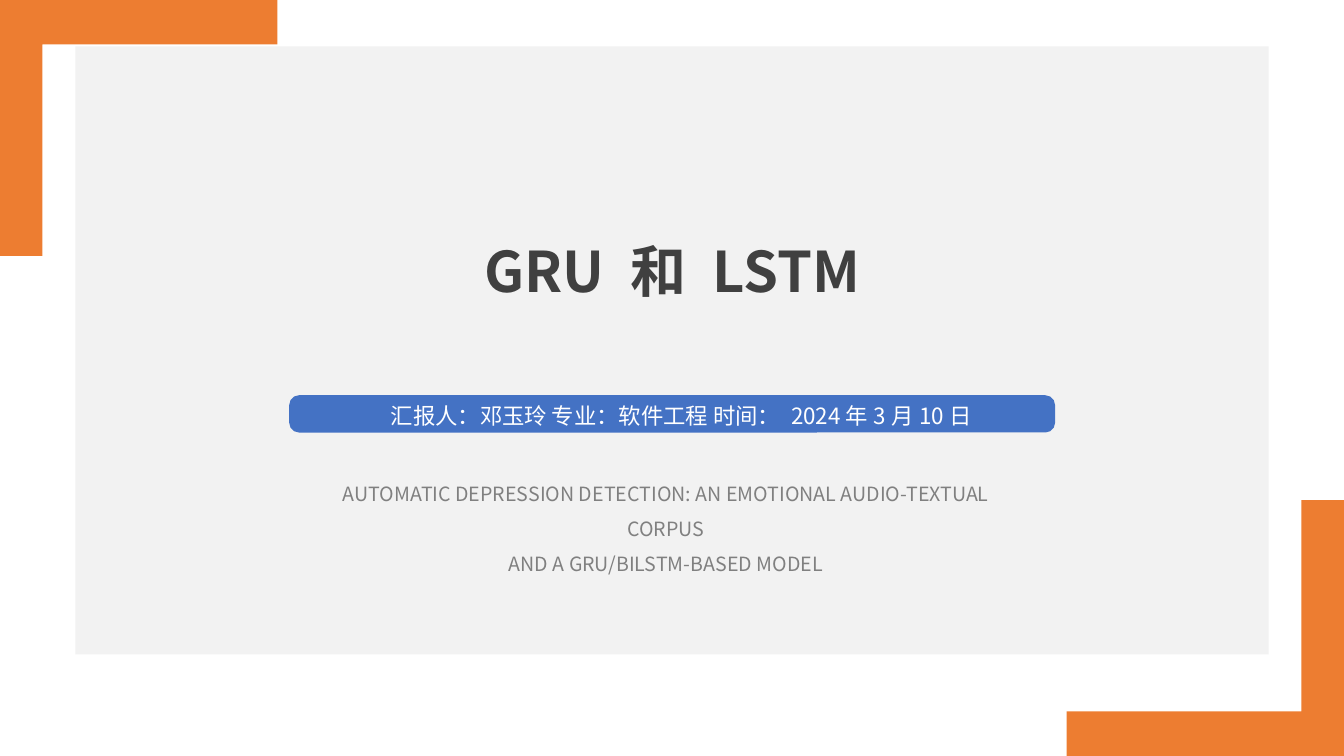
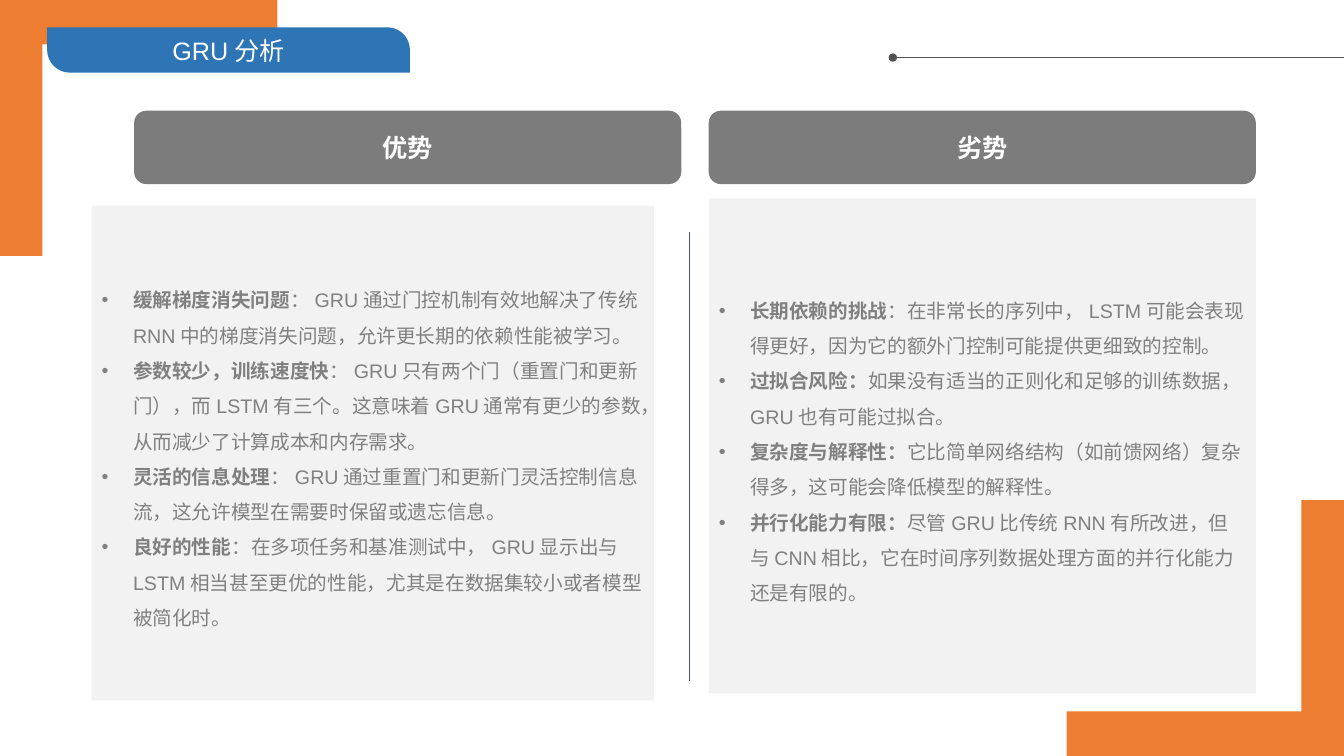
import pptx
import pptx.util
import pptx.dml.color
import pptx.enum.shapes
import pptx.enum.text
import pptx.oxml.ns
import lxml.etree

Cm = pptx.util.Cm
Pt = pptx.util.Pt
Kind = pptx.enum.shapes.MSO_SHAPE
Align = pptx.enum.text.PP_ALIGN
Anchor = pptx.enum.text.MSO_ANCHOR
qn = pptx.oxml.ns.qn

WIDE, HIGH = 33.87, 19.05
SANS, ARIAL = "Noto Sans CJK SC", "Arial"
ORANGE, BLUE, NAVY = "ED7D31", "4472C4", "2E75B6"
PALE, GRAY, DARK, WHITE = "F2F2F2", "808080", "404040", "FFFFFF"
STEEL, INK, SLATE = "7C7C7C", "525252", "44546A"

PROS = [
    ("缓解梯度消失问题", "：GRU通过门控机制有效地解决了传统RNN中的梯度消失问题，允许更长期的依赖性能被学习。"),
    ("参数较少，训练速度快", "：GRU只有两个门（重置门和更新门），而LSTM有三个。这意味着GRU通常有更少的参数，从而减少了计算成本和内存需求。"),
    ("灵活的信息处理", "：GRU通过重置门和更新门灵活控制信息流，这允许模型在需要时保留或遗忘信息。"),
    ("良好的性能", "：在多项任务和基准测试中，GRU显示出与LSTM相当甚至更优的性能，尤其是在数据集较小或者模型被简化时。"),
]
CONS = [
    ("长期依赖的挑战", "：在非常长的序列中，LSTM可能会表现得更好，因为它的额外门控制可能提供更细致的控制。"),
    ("过拟合风险：", "如果没有适当的正则化和足够的训练数据，GRU也有可能过拟合。"),
    ("复杂度与解释性：", "它比简单网络结构（如前馈网络）复杂得多，这可能会降低模型的解释性。"),
    ("并行化能力有限：", "尽管GRU比传统RNN有所改进，但与CNN相比，它在时间序列数据处理方面的并行化能力还是有限的。"),
]


def paint(part, code):
    part.solid()
    part.fore_color.rgb = pptx.dml.color.RGBColor.from_string(code)


def bullet(para):
    props = para._p.get_or_add_pPr()
    props.set("marL", str(Cm(0.79)))
    props.set("indent", str(-Cm(0.79)))
    font = lxml.etree.SubElement(props, qn("a:buFont"))
    font.set("typeface", ARIAL)
    lxml.etree.SubElement(props, qn("a:buChar")).set("char", "•")


def write(shape, paras, size=18, color=WHITE, face=SANS, bold=False,
          align=Align.CENTER, anchor=Anchor.MIDDLE, gap=1.0, inset=None, dots=False):
    frame = shape.text_frame
    frame.word_wrap = True
    frame.auto_size = pptx.enum.text.MSO_AUTO_SIZE.NONE
    frame.vertical_anchor = anchor
    if inset is not None:
        frame.margin_left = frame.margin_right = Cm(inset)
        frame.margin_top = frame.margin_bottom = Cm(inset)
    for at, parts in enumerate(paras):
        para = frame.add_paragraph() if at else frame.paragraphs[0]
        para.alignment = align
        para.line_spacing = gap
        para.space_before = para.space_after = Pt(0)
        if dots:
            bullet(para)
        for spot, words in enumerate(parts):
            run = para.add_run()
            run.text = words
            run.font.size = Pt(size)
            run.font.name = face
            run.font.bold = bold or (dots and spot == 0)
            paint(run.font.fill, color)
            east = lxml.etree.SubElement(run._r.get_or_add_rPr(), qn("a:ea"))
            east.set("typeface", SANS)


class Deck:
    def __init__(self):
        self.file = pptx.Presentation()
        self.file.slide_width = Cm(WIDE)
        self.file.slide_height = Cm(HIGH)
        self.slide = None

    def start(self, layout):
        self.slide = self.file.slides.add_slide(self.file.slide_layouts[layout])
        wide, high = 6.45, 6.99
        shift = (high - wide) / 2
        spots = [(shift, -shift, 90),
                 (WIDE - wide - shift, HIGH - high + shift, 270)]
        for left, top, turn in spots:
            bend = self.shape(Kind.CORNER, (left, top, wide, high), ORANGE, (0.166, 0.174))
            bend.rotation = turn

    def shape(self, kind, box, color, bends=()):
        shape = self.slide.shapes.add_shape(kind, *map(Cm, box))
        shape.shadow.inherit = False
        shape.line.fill.background()
        paint(shape.fill, color)
        for at, bend in enumerate(bends):
            shape.adjustments[at] = bend
        return shape

    def hold(self, index, box, paras, fill=None, **style):
        shape = self.slide.placeholders[index]
        shape.left, shape.top, shape.width, shape.height = map(Cm, box)
        shape.element.getparent().append(shape.element)
        if fill:
            paint(shape.fill, fill)
        write(shape, paras, **style)

    def label(self, box, words, **style):
        write(self.slide.shapes.add_textbox(*map(Cm, box)), [[words]], **style)

    def line(self, ends, color, head=None):
        line = self.slide.shapes.add_connector(
            pptx.enum.shapes.MSO_CONNECTOR.STRAIGHT, *map(Cm, ends))
        line.line.width = Pt(0.5)
        paint(line.line.fill, color)
        props = line.element.spPr
        if head:
            lxml.etree.SubElement(props.find(qn("a:ln")), qn("a:headEnd")).set("type", head)
        lxml.etree.SubElement(props, qn("a:effectLst"))


def cover(deck):
    deck.start(0)
    deck.shape(Kind.RECTANGLE, (1.9, 1.17, 30.07, 15.32), PALE)
    deck.shape(Kind.ROUNDED_RECTANGLE, (7.29, 9.96, 19.3, 0.94), BLUE, (0.26,))
    deck.hold(0, (4.24, 5.82, 25.4, 1.96), [["GRU 和 LSTM"]],
              size=40, color=DARK, bold=True)
    deck.hold(1, (8.15, 11.84, 17.27, 2.59),
              [["AUTOMATIC DEPRESSION DETECTION: AN EMOTIONAL AUDIO-TEXTUAL CORPUS"],
               ["AND A GRU/BILSTM-BASED MODEL"]],
              size=14, color=GRAY, gap=1.5, inset=0, anchor=Anchor.TOP)
    deck.label((9.6, 10.01, 15.29, 0.94),
               "汇报人：邓玉玲 专业：软件工程 时间： 2024年3月10日",
               size=16, align=Align.JUSTIFY, anchor=Anchor.TOP)


def study(deck):
    deck.start(3)
    deck.line((22.5, 1.45, WIDE, 1.45), INK, "oval")
    deck.line((17.37, 5.84, 17.37, 17.17), SLATE)
    tag = (1.19, 0.69, 9.14, 1.14)
    deck.shape(Kind.ROUND_2_DIAG_RECTANGLE, tag, NAVY, (0, 0.5))
    deck.hold(0, tag, [["GRU分析"]], face=ARIAL)
    sides = [("优势", 3.38, (2.31, 5.18, 14.17, 12.47), PROS),
             ("劣势", 17.86, (17.86, 5.0, 13.79, 12.47), CONS)]
    for index, (head, left, box, items) in enumerate(sides, 1):
        bar = deck.shape(Kind.ROUNDED_RECTANGLE, (left, 2.79, 13.79, 1.85), STEEL)
        write(bar, [[head]], bold=True)
        deck.hold(index, box, items, fill=PALE, size=14, color=GRAY, face=ARIAL,
                  align=Align.LEFT, gap=1.5, dots=True)


def main():
    deck = Deck()
    cover(deck)
    study(deck)
    deck.file.save("out.pptx")


if __name__ == "__main__":
    main()
